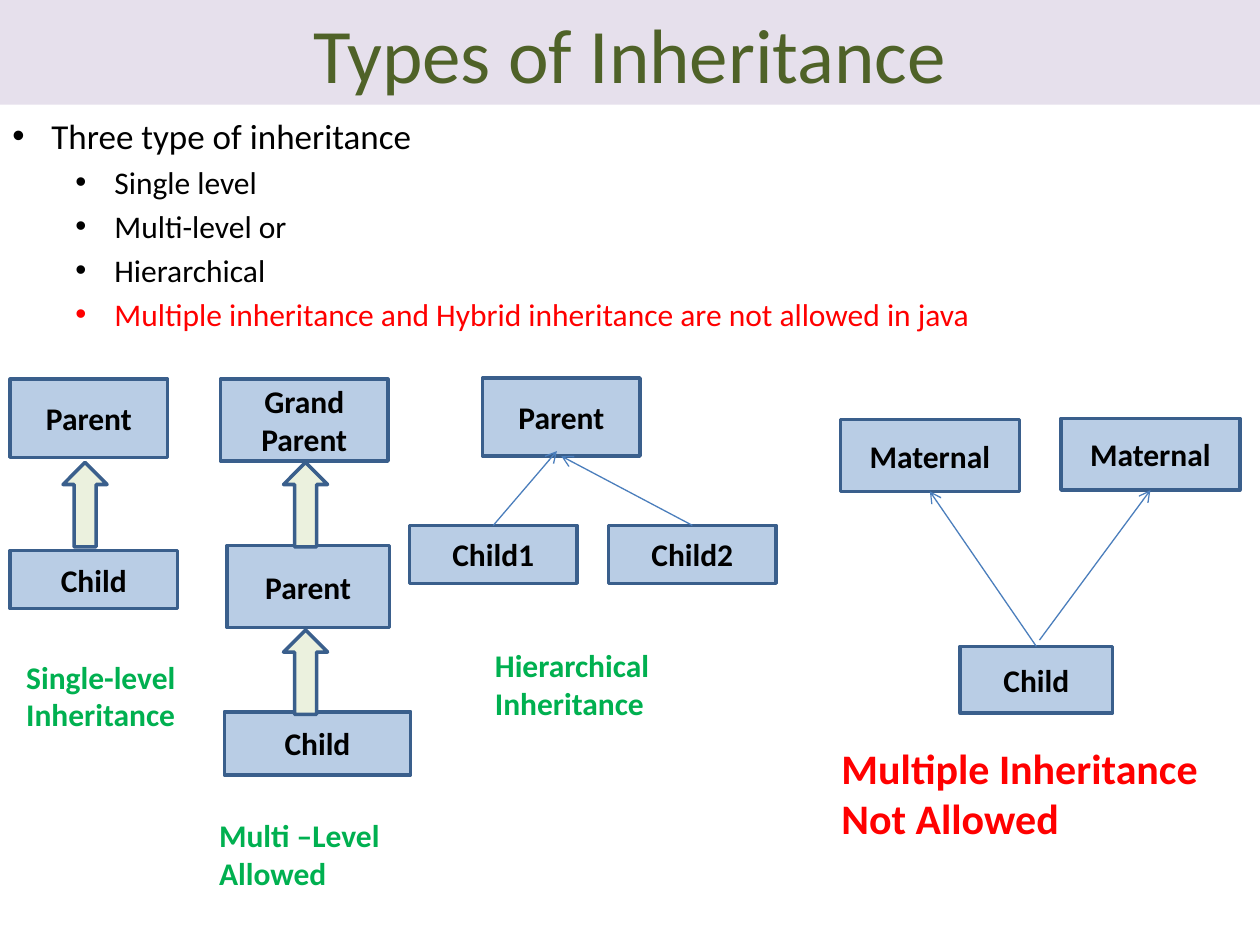
from pptx import Presentation
from pptx.dml.color import RGBColor
from pptx.enum.shapes import MSO_CONNECTOR, MSO_SHAPE
from pptx.enum.text import MSO_ANCHOR, MSO_AUTO_SIZE, PP_ALIGN
from pptx.oxml.ns import qn
from pptx.util import Inches, Pt
from lxml.etree import SubElement

BOX_FILL, ARROW_FILL, OUTLINE, LINK = "B9CDE5", "EBF1DE", "3A5F8C", "4B7EBC"
GREEN, RED, BLACK = "00B050", "FF0000", "000000"
TOP, BOTTOM = 0, 2


def color(value):
    return RGBColor.from_string(value)


def write(paragraph, text, size=18, fill=BLACK, bold=False, align=PP_ALIGN.LEFT):
    paragraph.alignment = align
    run = paragraph.add_run()
    run.text = text
    run.font.name = "Calibri"
    run.font.size = Pt(size)
    run.font.bold = bold
    run.font.color.rgb = color(fill)


def add_filled(slide, kind, left, top, width, height, fill):
    shape = slide.shapes.add_shape(
        kind, Inches(left), Inches(top), Inches(width), Inches(height))
    shape.shadow.inherit = False
    shape.fill.solid()
    shape.fill.fore_color.rgb = color(fill)
    shape.line.color.rgb = color(OUTLINE)
    shape.line.width = Pt(2)
    return shape


def add_class(slide, text, left, top, width, height):
    shape = add_filled(slide, MSO_SHAPE.RECTANGLE, left, top, width, height, BOX_FILL)
    frame = shape.text_frame
    frame.word_wrap = True
    frame.vertical_anchor = MSO_ANCHOR.MIDDLE
    write(frame.paragraphs[0], text, bold=True, align=PP_ALIGN.CENTER)
    return shape


def add_up_arrow(slide, left, top):
    arrow = add_filled(slide, MSO_SHAPE.RIGHT_ARROW, left, top, 0.67, 0.35, ARROW_FILL)
    arrow.rotation = 270


def add_text(slide, left, top, width, height):
    frame = slide.shapes.add_textbox(
        Inches(left), Inches(top), Inches(width), Inches(height)).text_frame
    frame.word_wrap = True
    return frame


def add_caption(slide, text, left, top, width, height=0.71, size=18, fill=GREEN):
    frame = add_text(slide, left, top, width, height)
    frame.auto_size = MSO_AUTO_SIZE.SHAPE_TO_FIT_TEXT
    write(frame.paragraphs[0], text, size=size, fill=fill, bold=True)


def add_link(slide, start, end, child=None, parent=None):
    """Draw an arrow, joined to the child's top and the parent's bottom if given."""
    connector = slide.shapes.add_connector(
        MSO_CONNECTOR.STRAIGHT, *(Inches(value) for value in (*start, *end)))
    if child is not None:
        connector.begin_connect(child, TOP)
    if parent is not None:
        connector.end_connect(parent, BOTTOM)
    connector.line.color.rgb = color(LINK)
    connector.line.width = Pt(0.75)
    SubElement(connector.line._get_or_add_ln(), qn("a:tailEnd"), type="arrow")
    SubElement(connector._element.spPr, qn("a:effectLst"))


def add_title(slide, left, top, width, height):
    title = slide.shapes.title
    title.left, title.top = Inches(left), Inches(top)
    title.width, title.height = Inches(width), Inches(height)
    title.fill.solid()
    title.fill.fore_color.rgb = color("E6E0EC")
    title.text_frame.vertical_anchor = MSO_ANCHOR.MIDDLE
    write(title.text_frame.paragraphs[0], "Types of Inheritance",
          size=44, fill="4F6228", align=PP_ALIGN.CENTER)


def add_bullets(slide, left, top, width, height):
    items = [
        ("Three type of inheritance", 0, BLACK),
        ("Single level", 1, BLACK),
        ("Multi-level or", 1, BLACK),
        ("Hierarchical", 1, BLACK),
        ("Multiple inheritance and Hybrid inheritance are not allowed in java", 1, RED),
    ]
    frame = add_text(slide, left, top, width, height)
    for index, (text, level, fill) in enumerate(items):
        paragraph = frame.add_paragraph() if index else frame.paragraphs[0]
        paragraph.level = level
        if index:
            paragraph.space_before = Pt(3.6)
        properties = paragraph._p.get_or_add_pPr()
        properties.set("marL", str(Inches(0.31 + 0.5 * level)))
        properties.set("indent", str(Inches(-0.31)))
        SubElement(properties, qn("a:buFont"), typeface="Arial")
        SubElement(properties, qn("a:buChar"), char="•")
        write(paragraph, text, size=18 if level else 20, fill=fill)


def add_single_level(slide, left, top):
    add_class(slide, "Parent", left, top, 1.25, 0.62)
    add_class(slide, "Child", left, top + 1.36, 1.33, 0.46)
    add_up_arrow(slide, left + 0.26, top + 0.82)
    add_caption(slide, "Single-level Inheritance", left + 0.03, top + 2.16, 1.64)


def add_multi_level(slide, left, top):
    add_class(slide, "Grand Parent", left, top, 1.33, 0.65)
    add_class(slide, "Parent", left + 0.05, top + 1.32, 1.29, 0.65)
    add_class(slide, "Child", left + 0.03, top + 2.64, 1.48, 0.5)
    for offset in (0.82, 2.15):
        add_up_arrow(slide, left + 0.34, top + offset)
    add_caption(slide, "Multi –Level Allowed", left - 0.11, top + 3.42, 1.83)


def add_hierarchical(slide, left, top):
    parent = add_class(slide, "Parent", left + 0.58, top, 1.25, 0.62)
    add_class_top = top + 1.17
    first, second = (
        add_class(slide, f"Child{number}", left + 1.58 * (number - 1),
                  add_class_top, 1.33, 0.46)
        for number in (1, 2))
    # The first arrow stops just inside the parent
    add_link(slide, (left + 0.67, add_class_top), (left + 1.17, top + 0.58), child=first)
    add_link(slide, (left + 2.25, add_class_top), (left + 1.21, top + 0.62),
             child=second, parent=parent)
    add_caption(slide, "Hierarchical Inheritance", left + 0.58, top + 2.08, 1.83)


def add_multiple(slide, left, top):
    child = add_class(slide, "Child", left + 0.95, top + 1.81, 1.21, 0.53)
    first = add_class(slide, "Maternal", left, top + 0.01, 1.42, 0.57)
    second = add_class(slide, "Maternal", left + 1.75, top, 1.42, 0.57)
    add_link(slide, (left + 1.56, top + 1.81), (left + 0.71, top + 0.58),
             child=child, parent=first)
    # The second arrow starts just above the child
    add_link(slide, (left + 1.58, top + 1.76), (left + 2.45, top + 0.57), parent=second)
    add_caption(slide, "Multiple Inheritance Not Allowed", left - 0.09, top + 2.52,
                3.42, height=0.91, size=24, fill=RED)


def main():
    presentation = Presentation()
    presentation.slide_width, presentation.slide_height = Inches(10), Inches(7.5)
    slide = presentation.slides.add_slide(presentation.slide_layouts[5])
    add_title(slide, 0, 0, 10, 0.83)
    add_bullets(slide, 0, 0.86, 10, 6.64)
    # Inheritance diagrams, left to right
    add_single_level(slide, 0.08, 3.01)
    add_multi_level(slide, 1.75, 3.01)
    add_hierarchical(slide, 3.25, 3)
    add_multiple(slide, 6.67, 3.32)
    presentation.save("out.pptx")


if __name__ == "__main__":
    main()
